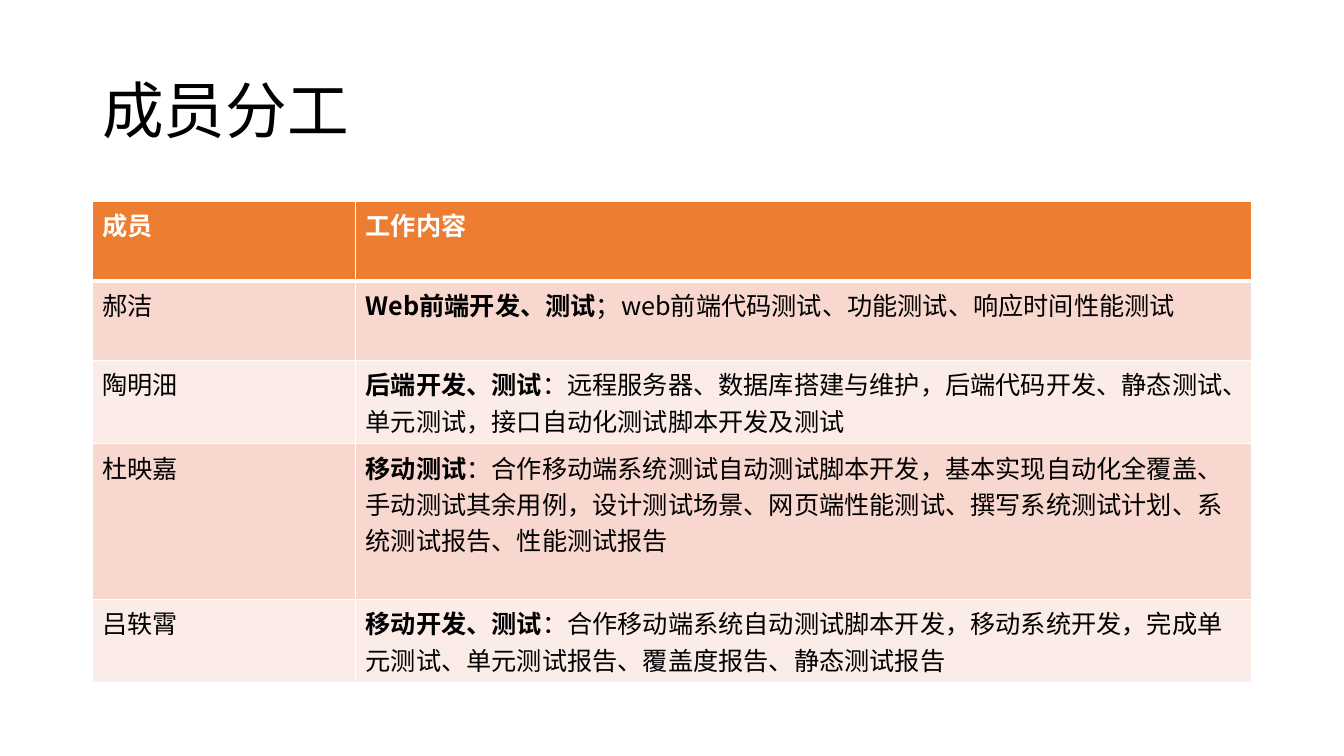
from dataclasses import dataclass

from lxml import etree
from pptx import Presentation
from pptx.dml.color import RGBColor
from pptx.enum.text import MSO_ANCHOR
from pptx.oxml.ns import qn
from pptx.util import Pt

MIDDLE = MSO_ANCHOR.MIDDLE
FONT = "Noto Sans CJK SC"
BLACK = RGBColor(0x00, 0x00, 0x00)
WHITE = RGBColor(0xFF, 0xFF, 0xFF)
ORANGE = RGBColor(0xED, 0x7D, 0x31)
BAND_DARK = RGBColor(0xF8, 0xD7, 0xCE)
BAND_LIGHT = RGBColor(0xFC, 0xEC, 0xE8)

LEFT, WIDTH = 66, 828
COLUMN_WIDTHS = (188, 640)
HEADER_HEIGHT = 56.8


@dataclass
class Member:
    name: str
    role: str
    duties: str
    height: float


MEMBERS = [
    Member("郝洁", "Web前端开发、测试",
           "；web前端代码测试、功能测试、响应时间性能测试", 56.8),
    Member("陶明沺", "后端开发、测试",
           "：远程服务器、数据库搭建与维护，后端代码开发、静态测试、单元测试，"
           "接口自动化测试脚本开发及测试", 59.4),
    Member("杜映嘉", "移动测试",
           "：合作移动端系统测试自动测试脚本开发，基本实现自动化全覆盖、"
           "手动测试其余用例，设计测试场景、网页端性能测试、撰写系统测试计划、"
           "系统测试报告、性能测试报告", 111.4),
    Member("吕轶霄", "移动开发、测试",
           "：合作移动端系统自动测试脚本开发，移动系统开发，完成单元测试、"
           "单元测试报告、覆盖度报告、静态测试报告", 59.4),
]


def add_text(p, text: str, *, size: float = 18, color: RGBColor = BLACK,
             bold: bool = False) -> None:
    r = p.add_run()
    r.text = text
    r.font.size = Pt(size)
    r.font.bold = bold
    r.font.color.rgb = color
    r.font.name = FONT
    etree.SubElement(r.font._element, qn("a:ea"), typeface=FONT)


def set_borders(cell, top: float, bottom: float) -> None:
    props = cell._tc.get_or_add_tcPr()
    sides = {"lnL": 1, "lnR": 1, "lnT": top, "lnB": bottom}
    for i, (side, width) in enumerate(sides.items()):
        line = etree.Element(qn(f"a:{side}"), w=str(int(Pt(width))))
        fill = etree.SubElement(line, qn("a:solidFill"))
        etree.SubElement(fill, qn("a:srgbClr"), val=str(WHITE))
        props.insert(i, line)


def format_cell(cell, fill: RGBColor, top: float = 1, bottom: float = 1) -> None:
    cell.fill.solid()
    cell.fill.fore_color.rgb = fill
    set_borders(cell, top, bottom)


def add_title(slide, text: str) -> None:
    sp = slide.shapes.add_textbox(Pt(LEFT), Pt(28.75), Pt(WIDTH), Pt(104.4))
    tf = sp.text_frame
    tf.word_wrap = True
    tf.vertical_anchor = MIDDLE
    p = tf.paragraphs[0]
    p.line_spacing = 0.9
    add_text(p, text, size=44)


def add_member_table(slide, members: list[Member]) -> None:
    heights = [HEADER_HEIGHT] + [m.height for m in members]
    table = slide.shapes.add_table(len(heights), len(COLUMN_WIDTHS), Pt(LEFT),
                                   Pt(144), Pt(WIDTH), Pt(sum(heights))).table
    for column, width in zip(table.columns, COLUMN_WIDTHS):
        column.width = Pt(width)
    for row, height in zip(table.rows, heights):
        row.height = Pt(height)

    for cell, heading in zip(table.rows[0].cells, ("成员", "工作内容")):
        add_text(cell.text_frame.paragraphs[0], heading, color=WHITE, bold=True)
        format_cell(cell, ORANGE, bottom=3)

    for i, member in enumerate(members):
        name, work = table.rows[i + 1].cells
        add_text(name.text_frame.paragraphs[0], member.name)
        p = work.text_frame.paragraphs[0]
        add_text(p, member.role, bold=True)
        add_text(p, member.duties)
        for cell in (name, work):
            format_cell(cell, BAND_LIGHT if i % 2 else BAND_DARK,
                        top=1 if i else 3)


def main() -> None:
    prs = Presentation()
    prs.slide_width, prs.slide_height = Pt(960), Pt(540)
    slide = prs.slides.add_slide(prs.slide_layouts[6])
    add_title(slide, "成员分工")
    add_member_table(slide, MEMBERS)
    prs.save("out.pptx")


if __name__ == "__main__":
    main()
